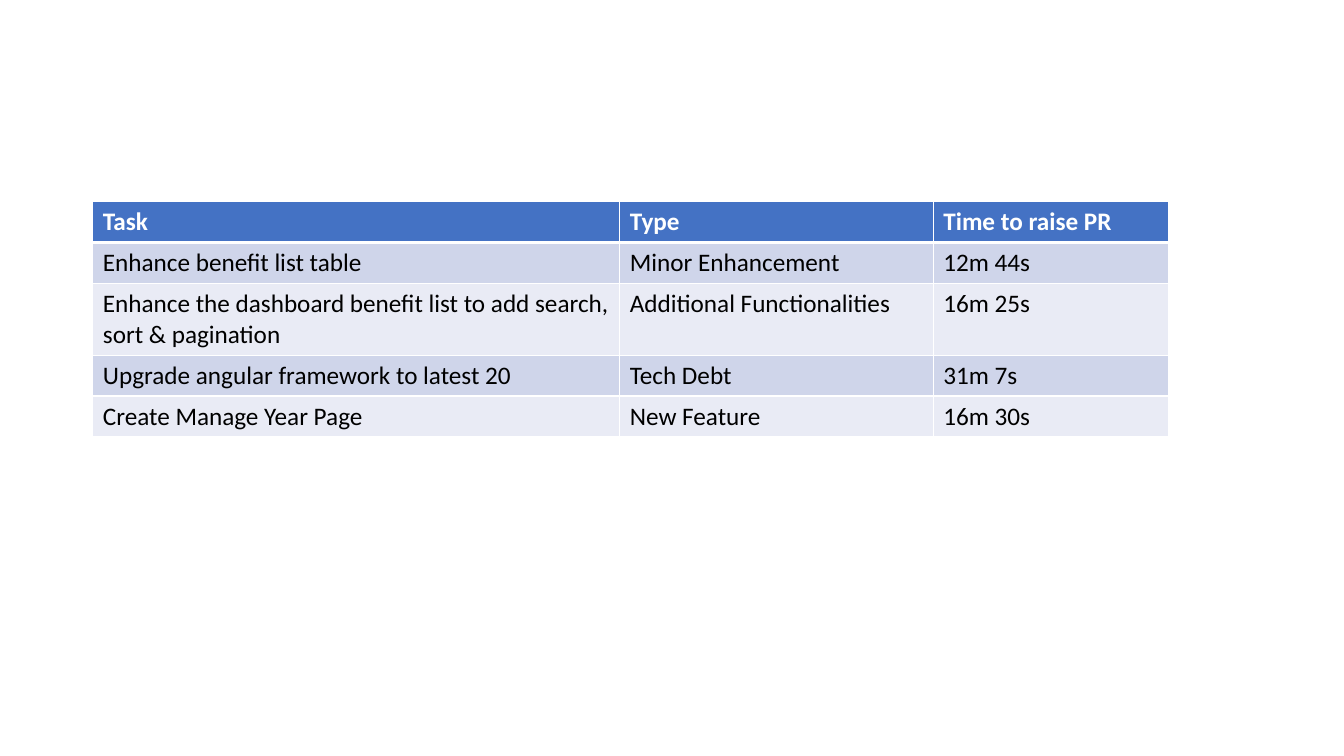
from lxml.etree import SubElement
from pptx import Presentation
from pptx.dml.color import RGBColor
from pptx.oxml.ns import qn
from pptx.util import Cm, Pt

WHITE = RGBColor(0xFF, 0xFF, 0xFF)
BLACK = RGBColor(0x00, 0x00, 0x00)
HEADER_BLUE = RGBColor(0x44, 0x72, 0xC4)
BAND_DARK = RGBColor(0xCF, 0xD5, 0xEA)
BAND_LIGHT = RGBColor(0xE9, 0xEB, 0xF5)

COLUMN_WIDTHS = [13.28, 7.9, 5.94]
ROW_HEIGHTS = [1.03, 1.03, 1.81, 1.03, 1.03]
TASKS = [
    ("Task", "Type", "Time to raise PR"),
    ("Enhance benefit list table", "Minor Enhancement", "12m 44s"),
    ("Enhance the dashboard benefit list to add search, sort & pagination",
     "Additional Functionalities", "16m 25s"),
    ("Upgrade angular framework to latest 20", "Tech Debt", "31m 7s"),
    ("Create Manage Year Page", "New Feature", "16m 30s"),
]


def set_borders(cell, top, bottom):
    """Draw white cell borders; widths are in points."""
    properties = cell._tc.get_or_add_tcPr()
    for side, width in (("L", 1), ("R", 1), ("T", top), ("B", bottom)):
        border = SubElement(properties, qn(f"a:ln{side}"), w=str(Pt(width)))
        fill = SubElement(border, qn("a:solidFill"))
        SubElement(fill, qn("a:srgbClr"), val=str(WHITE))


def fill_cell(cell, text, row):
    is_header = row == 0
    # Borders go before the fill in the cell properties
    set_borders(cell, top=3 if row == 1 else 1, bottom=3 if is_header else 1)
    cell.fill.solid()
    band = BAND_DARK if row % 2 else BAND_LIGHT
    cell.fill.fore_color.rgb = HEADER_BLUE if is_header else band

    cell.text = text
    font = cell.text_frame.paragraphs[0].font
    font.name = "Calibri"
    font.size = Pt(18)
    font.bold = is_header
    font.color.rgb = WHITE if is_header else BLACK


def add_task_table(slide, left, top):
    frame = slide.shapes.add_table(
        len(TASKS), len(COLUMN_WIDTHS), left, top,
        Cm(sum(COLUMN_WIDTHS)), Cm(sum(ROW_HEIGHTS)))
    table = frame.table
    for column, width in zip(table.columns, COLUMN_WIDTHS):
        column.width = Cm(width)
    for row, height in zip(table.rows, ROW_HEIGHTS):
        row.height = Cm(height)
    for row, texts in enumerate(TASKS):
        for column, text in enumerate(texts):
            fill_cell(table.cell(row, column), text, row)


def main():
    deck = Presentation()
    deck.slide_width, deck.slide_height = Cm(33.87), Cm(19.05)
    slide = deck.slides.add_slide(deck.slide_layouts[6])

    # Tasks and the time each took
    add_task_table(slide, Cm(2.34), Cm(5.08))
    deck.save("out.pptx")


if __name__ == "__main__":
    main()
